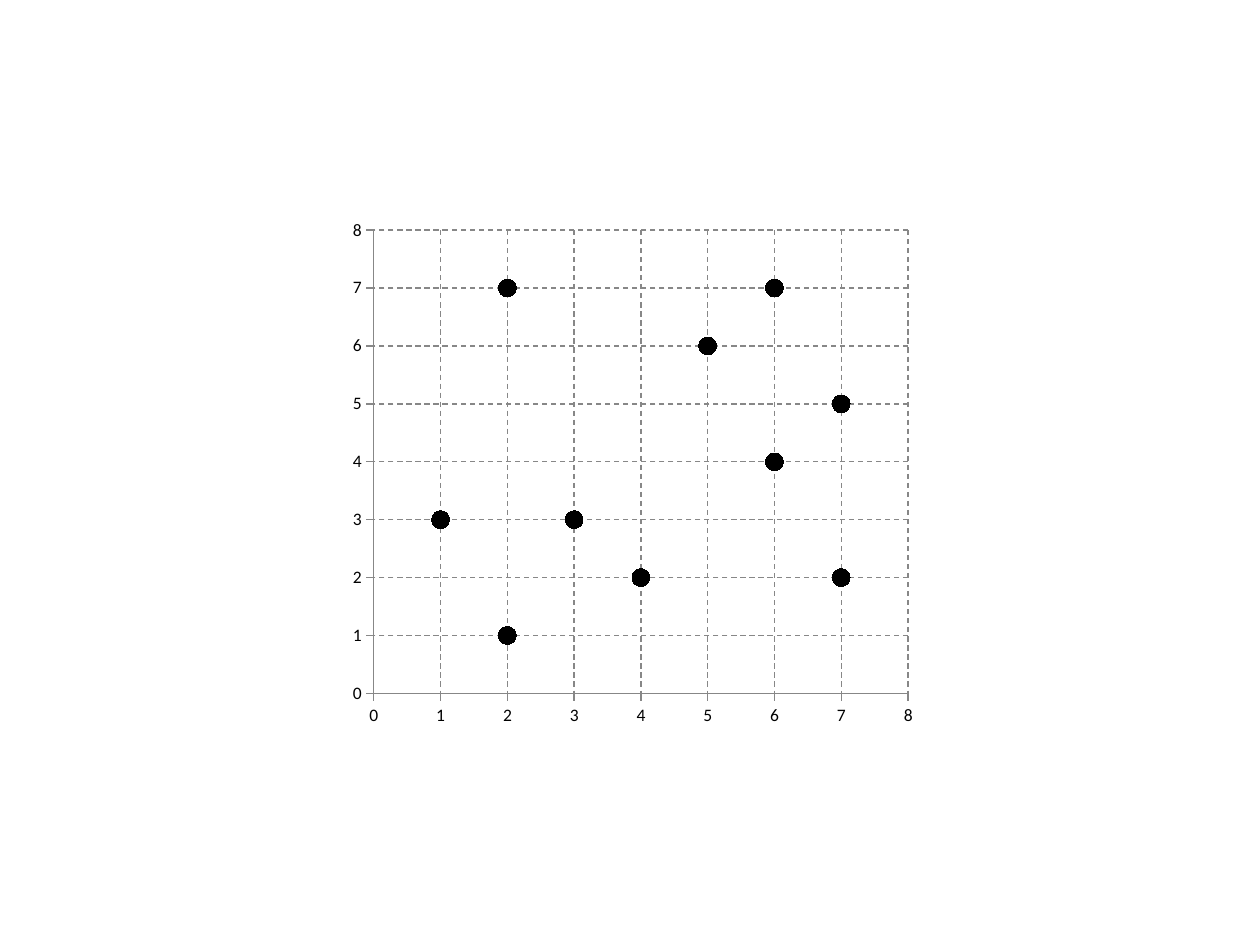
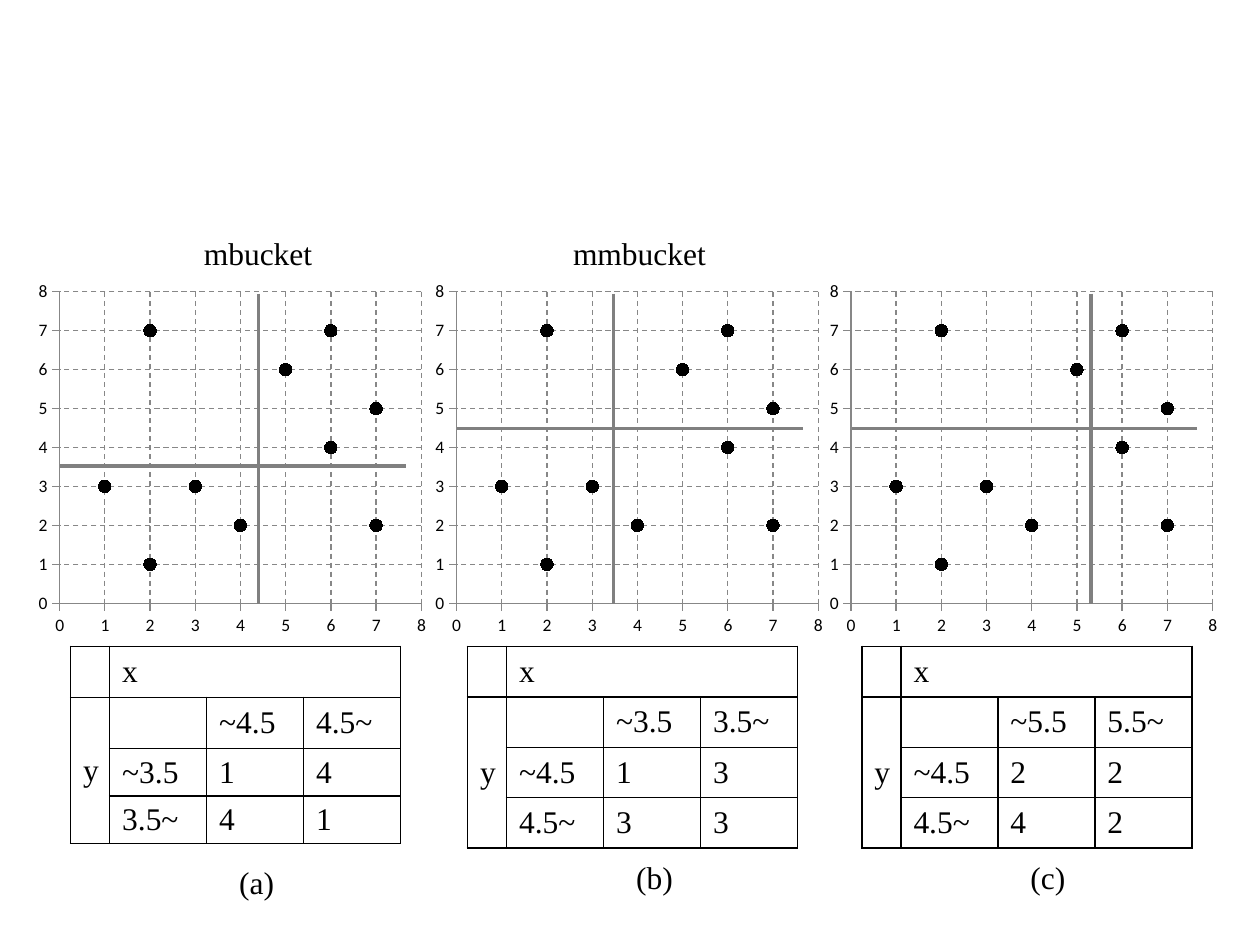
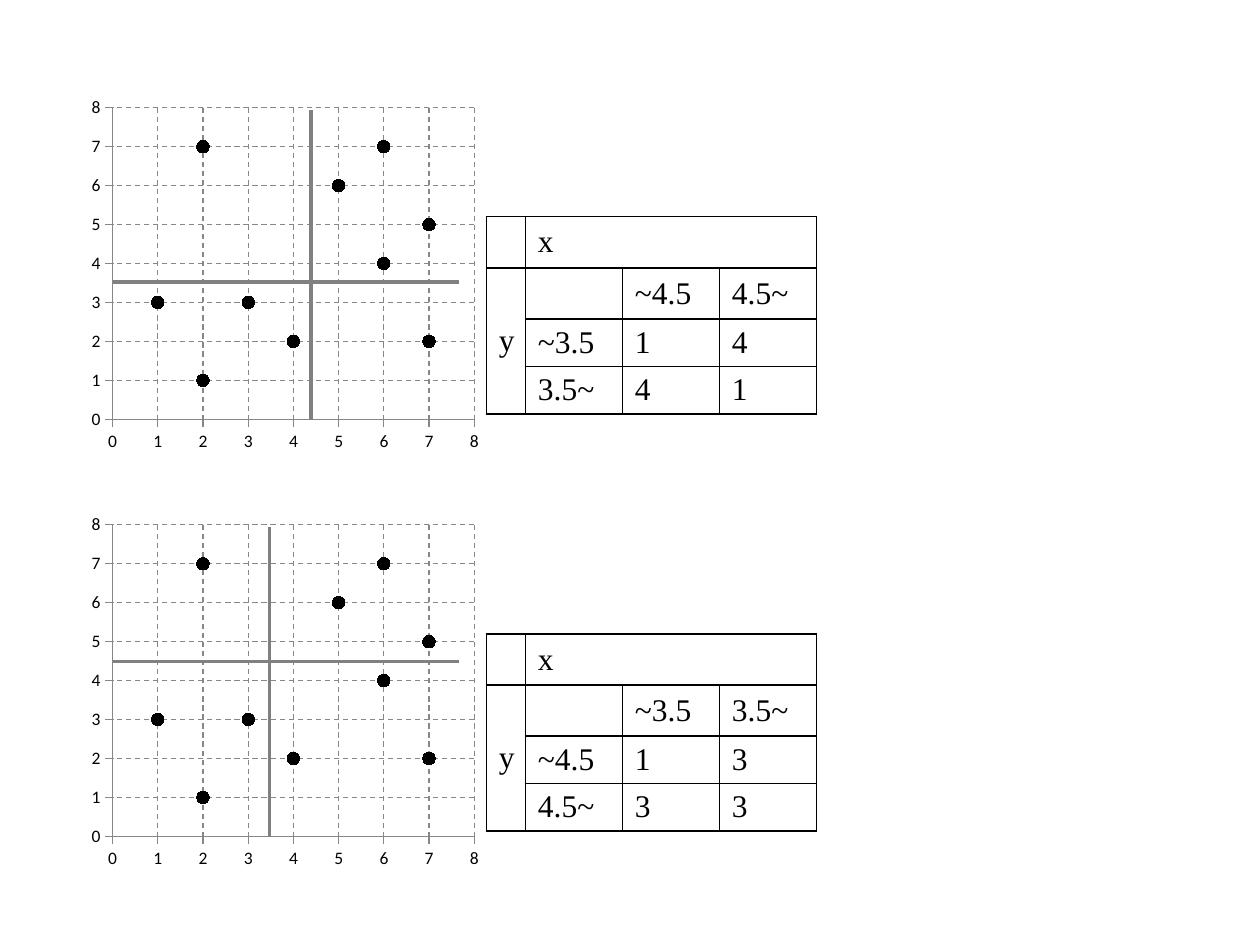
from dataclasses import dataclass
from lxml.etree import SubElement
from pptx import Presentation
from pptx.chart.data import XyChartData
from pptx.dml.color import RGBColor
from pptx.enum.chart import XL_CHART_TYPE as ChartType
from pptx.enum.chart import XL_MARKER_STYLE as Marker
from pptx.enum.chart import XL_TICK_MARK as Tick
from pptx.enum.dml import MSO_LINE as Dash
from pptx.enum.shapes import MSO_CONNECTOR as Connector
from pptx.enum.text import MSO_ANCHOR as Anchor
from pptx.enum.text import MSO_AUTO_SIZE as AutoSize
from pptx.enum.text import PP_ALIGN as Align
from pptx.oxml import parse_xml
from pptx.oxml.ns import nsdecls, qn
from pptx.util import Inches, Pt

COLUMNS, ROWS = 100, 75
UNIT = Inches(0.1)
BLACK = RGBColor(0x00, 0x00, 0x00)
SPLIT_GRAY = RGBColor(0x80, 0x80, 0x80)
AXIS_GRAY = RGBColor(0x87, 0x87, 0x87)
BODY_FONT, AXIS_FONT = "Times New Roman", "Calibri"
BODY_SIZE, AXIS_SIZE = Pt(18), Pt(10)

POINTS = [(2, 7), (6, 7), (5, 6), (7, 5), (6, 4),
          (1, 3), (3, 3), (4, 2), (7, 2), (2, 1)]
AXIS_END = 8
BLANK_LAYOUT = 6
PANEL_SIZE = (31.9, 29.1)
PANEL_PLOT = (0.07, 0.05, 0.9, 0.85)
WIDE_PLOT = (0.06, 0.04, 0.92, 0.88)
TABLE_COLUMNS = (3.1, 7.7, 7.7, 7.7)
TABLE_ROW = 3.2


@dataclass
class Split:
    x: str
    y: str
    counts: tuple
    line_x: float
    line_y: float


SPLIT_A = Split("4.5", "3.5", ((1, 4), (4, 1)), 18, 15.3)
SPLIT_B = Split("3.5", "4.5", ((1, 3), (3, 3)), 14.7, 12.3)
SPLIT_C = Split("5.5", "4.5", ((2, 2), (4, 2)), 21.3, 12.3)


def grid(*lengths):
    return [round(length * UNIT) for length in lengths]


def add_run(para, text):
    span = para.add_run()
    span.text = text
    span.font.name = BODY_FONT
    span.font.size = BODY_SIZE
    span.font.color.rgb = BLACK


def add_label(page, text, left, top, width):
    box = page.shapes.add_textbox(*grid(left, top, width, 4))
    box.text_frame.word_wrap = False
    box.text_frame.auto_size = AutoSize.SHAPE_TO_FIT_TEXT
    add_run(box.text_frame.paragraphs[0], text)


def add_split_line(page, start, end):
    line = page.shapes.add_connector(Connector.STRAIGHT, *grid(*start, *end))
    line.line.color.rgb = SPLIT_GRAY
    line.line.width = Pt(2)
    SubElement(line._element.spPr, qn("a:effectLst"))


def style_axis(axis):
    axis.minimum_scale, axis.maximum_scale = 0, AXIS_END
    axis.major_unit = 1
    axis.major_tick_mark, axis.minor_tick_mark = Tick.OUTSIDE, Tick.NONE
    axis.has_major_gridlines = True
    for line in (axis.format.line, axis.major_gridlines.format.line):
        line.color.rgb = AXIS_GRAY
        line.width = Pt(0.75)
    axis.major_gridlines.format.line.dash_style = Dash.DASH


def set_plot_area(chart, shares):
    area = chart._chartSpace.chart.plotArea
    for old in area.findall(qn("c:layout")):
        area.remove(old)
    sizes = "".join(f'<c:{name} val="{share}"/>'
                    for name, share in zip("xywh", shares))
    area.insert(0, parse_xml(
        f'<c:layout {nsdecls("c")}><c:manualLayout>'
        '<c:layoutTarget val="inner"/>'
        '<c:xMode val="edge"/><c:yMode val="edge"/>'
        f'{sizes}</c:manualLayout></c:layout>'))


def add_scatter(page, position, size, plot_shares, marker_size):
    data = XyChartData()
    values = data.add_series("Series 1")
    for x, y in POINTS:
        values.add_data_point(x, y)
    chart = page.shapes.add_chart(
        ChartType.XY_SCATTER, *grid(*position, *size), data).chart
    chart.has_title = chart.has_legend = False
    chart.font.name = AXIS_FONT
    chart.font.size = AXIS_SIZE
    chart.font.color.rgb = BLACK
    chart.plots[0].vary_by_categories = False
    series = chart.plots[0].series[0]
    series.smooth = False
    series.format.line.fill.background()
    series.marker.style = Marker.CIRCLE
    series.marker.size = marker_size
    series.marker.format.fill.solid()
    series.marker.format.fill.fore_color.rgb = BLACK
    series.marker.format.line.color.rgb = BLACK
    style_axis(chart.category_axis)
    style_axis(chart.value_axis)
    set_plot_area(chart, plot_shares)


def style_cell(cell):
    cell.vertical_anchor = Anchor.MIDDLE
    properties = cell._tc.get_or_add_tcPr()
    for side in ("lnL", "lnR", "lnT", "lnB"):
        properties.append(parse_xml(
            f'<a:{side} {nsdecls("a")} w="{Pt(1)}"><a:solidFill>'
            f'<a:srgbClr val="{BLACK}"/></a:solidFill></a:{side}>'))
    cell.fill.background()


def add_count_table(page, split, left, top):
    rows = [["", "x", "", ""],
            ["y", "", f"~{split.x}", f"{split.x}~"],
            ["", f"~{split.y}", *split.counts[0]],
            ["", f"{split.y}~", *split.counts[1]]]
    size = (sum(TABLE_COLUMNS), TABLE_ROW * len(rows))
    table = page.shapes.add_table(
        len(rows), len(TABLE_COLUMNS), *grid(left, top, *size)).table
    table.first_row = table.horz_banding = False
    for column, width in zip(table.columns, grid(*TABLE_COLUMNS)):
        column.width = width
    for row_index, row in enumerate(rows):
        for column_index, value in enumerate(row):
            cell = table.cell(row_index, column_index)
            style_cell(cell)
            if value != "":
                add_run(cell.text_frame.paragraphs[0], str(value))
    table.cell(0, 1).merge(table.cell(0, 3))
    table.cell(1, 0).merge(table.cell(3, 0))
    table.cell(1, 0).text_frame.paragraphs[0].alignment = Align.CENTER


def add_panel(page, split, left, top, table_offset):
    add_scatter(page, (left, top), PANEL_SIZE, PANEL_PLOT, 7)
    add_count_table(page, split, left + table_offset[0], top + table_offset[1])
    line_x, line_y = left + split.line_x, top + split.line_y
    add_split_line(page, (line_x, top + 1.6), (line_x, top + 26.2))
    add_split_line(page, (left + 29.7, line_y), (left + 2.3, line_y))


def add_page(deck):
    return deck.slides.add_slide(deck.slide_layouts[BLANK_LAYOUT])


def build_points(deck):
    add_scatter(add_page(deck), (26.9, 16.6), (46.1, 41.8), WIDE_PLOT, 10)


def build_three_splits(deck):
    page = add_page(deck)
    panels = [(SPLIT_A, 2.5, "(a)", 68), (SPLIT_B, 34, "(b)", 67.6),
              (SPLIT_C, 65.3, "(c)", 67.6)]
    for split, left, caption, caption_top in panels:
        add_panel(page, split, left, 21.7, (3.1, 29.6))
        add_label(page, caption, left + 15.5, caption_top, 4.9)
    add_label(page, "mbucket", 15.2, 18.1, 10.7)
    add_label(page, "mmbucket", 44.5, 18.1, 12.7)


def build_two_splits(deck):
    page = add_page(deck)
    for index, split in enumerate((SPLIT_A, SPLIT_B)):
        add_panel(page, split, 6.7, 7.1 + 33.1 * index, (31.9, 10.1))


def main():
    deck = Presentation()
    deck.slide_width, deck.slide_height = grid(COLUMNS, ROWS)
    build_points(deck)
    build_three_splits(deck)
    build_two_splits(deck)
    deck.save("out.pptx")


if __name__ == "__main__":
    main()
